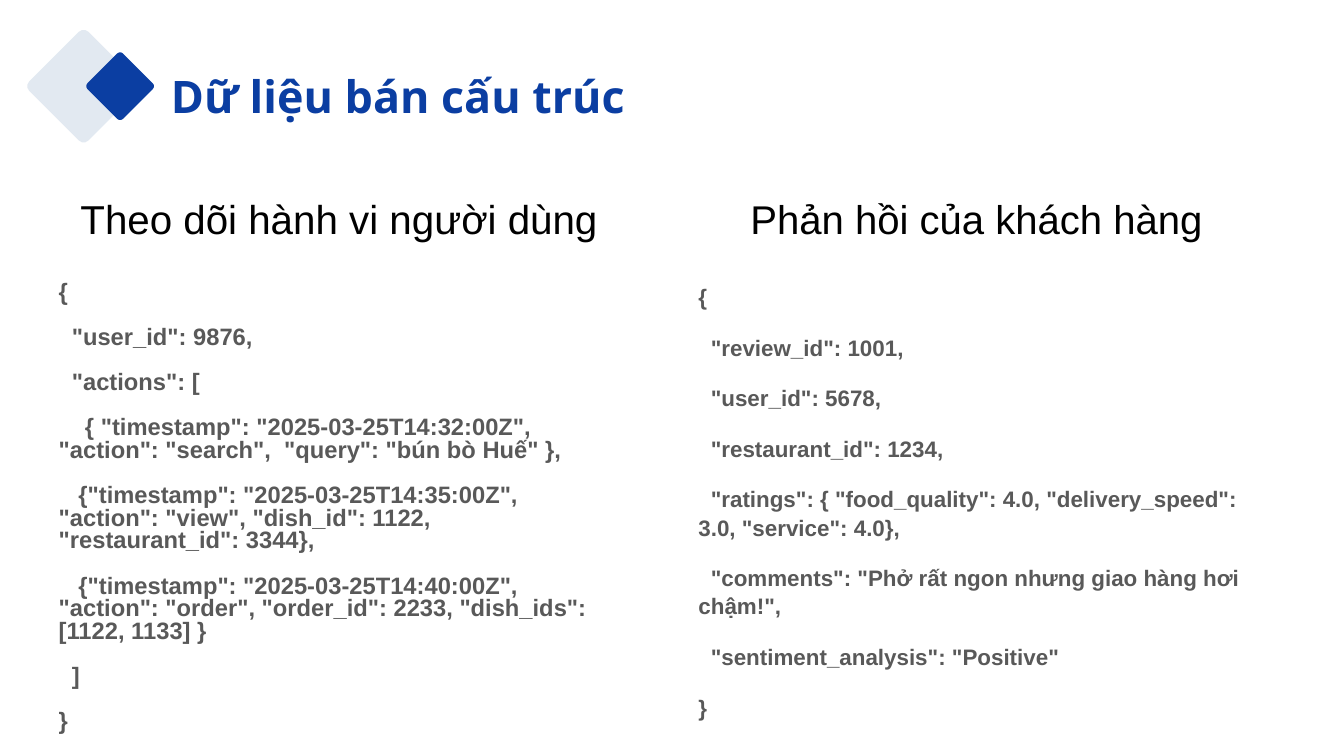
"""Build a slide comparing two samples of semi-structured data."""
from dataclasses import dataclass

from pptx import Presentation
from pptx.dml.color import RGBColor
from pptx.enum import shapes, text
from pptx.util import Cm, Pt


@dataclass(frozen=True)
class Theme:
    pale: RGBColor = RGBColor(0xE2, 0xE9, 0xF1)
    accent: RGBColor = RGBColor(0x0B, 0x3E, 0xA2)
    heading: RGBColor = RGBColor(0, 0, 0)
    code: RGBColor = RGBColor(0x59, 0x59, 0x59)
    title_font: str = "Noto Sans"
    body_font: str = "Arial"
    title_size: float = 24
    code_gap: float = 12


@dataclass(frozen=True)
class Box:
    left: float
    top: float
    width: float
    height: float


@dataclass(frozen=True)
class Diamond:
    center_x: float
    side: float
    color: RGBColor


@dataclass(frozen=True)
class Sample:
    heading: str
    heading_box: Box
    heading_size: float
    code_box: Box
    code_size: float
    line_spacing: float
    lines: tuple[str, ...]


THEME = Theme()
DIAMOND_CENTER_Y = 1.63
HEADING_TOP, HEADING_HEIGHT = 3.18, 1.65
CODE_TOP, CODE_HEIGHT = 5.08, 9.21

DIAMONDS = (
    Diamond(1.58, 1.58, THEME.pale),
    Diamond(2.27, 0.95, THEME.accent),
)

SAMPLES = (
    Sample(
        "Theo dõi hành vi người dùng",
        Box(0.86, HEADING_TOP, 11.1, HEADING_HEIGHT), 21.6,
        Box(0.86, CODE_TOP, 10.9, CODE_HEIGHT), 12.7, 0.8,
        (
            '{',
            '  "user_id": 9876,',
            '  "actions": [',
            '    { "timestamp": "2025-03-25T14:32:00Z", "action": "search",  "query": "bún bò Huế" },',
            '   {"timestamp": "2025-03-25T14:35:00Z", "action": "view", "dish_id": 1122, "restaurant_id": 3344},',
            '   {"timestamp": "2025-03-25T14:40:00Z", "action": "order", "order_id": 2233, "dish_ids": [1122, 1133] }',
            '  ]',
            '}',
        ),
    ),
    Sample(
        "Phản hồi của khách hàng",
        Box(12.73, HEADING_TOP, 11.46, HEADING_HEIGHT), 21.5,
        Box(12.95, CODE_TOP, 11.1, CODE_HEIGHT), 12, 1.05,
        (
            '{',
            '  "review_id": 1001,',
            '  "user_id": 5678,',
            '  "restaurant_id": 1234,',
            '  "ratings": { "food_quality": 4.0, "delivery_speed": 3.0, "service": 4.0},',
            '  "comments": "Phở rất ngon nhưng giao hàng hơi chậm!",',
            '  "sentiment_analysis": "Positive"',
            '}',
        ),
    ),
)


def draw_diamond(slide, diamond: Diamond) -> None:
    """Draw a rounded square turned by 45 degrees."""
    square = slide.shapes.add_shape(
        shapes.MSO_SHAPE.ROUNDED_RECTANGLE,
        Cm(diamond.center_x - diamond.side / 2),
        Cm(DIAMOND_CENTER_Y - diamond.side / 2),
        Cm(diamond.side), Cm(diamond.side))
    square.adjustments[0] = 0.08
    square.rotation = 45
    square.shadow.inherit = False
    square.fill.solid()
    square.fill.fore_color.rgb = diamond.color
    square.line.fill.background()


def set_frame(frame, anchor, inset_x: float, inset_y: float) -> None:
    """Set wrapping, anchor and insets of a text frame."""
    frame.word_wrap = True
    frame.auto_size = text.MSO_AUTO_SIZE.NONE
    frame.vertical_anchor = anchor
    frame.margin_left = frame.margin_right = Cm(inset_x)
    frame.margin_top = frame.margin_bottom = Cm(inset_y)


def set_font(paragraph, name: str, size: float, color: RGBColor, bold: bool) -> None:
    """Set the font of a whole paragraph."""
    font = paragraph.font
    font.name, font.size, font.bold = name, Pt(size), bold
    font.color.rgb = color


def add_frame(slide, box: Box, anchor):
    """Add a text box and return its text frame."""
    frame = slide.shapes.add_textbox(
        Cm(box.left), Cm(box.top), Cm(box.width), Cm(box.height)).text_frame
    set_frame(frame, anchor, 0.25, 0.25)
    return frame


def draw_title(slide, wording: str, box: Box) -> None:
    """Place and format the title placeholder."""
    title = slide.shapes.title
    title.left, title.top = Cm(box.left), Cm(box.top)
    title.width, title.height = Cm(box.width), Cm(box.height)
    set_frame(title.text_frame, text.MSO_ANCHOR.TOP, 0, 0.13)
    paragraph = title.text_frame.paragraphs[0]
    paragraph.text = wording
    paragraph.alignment = text.PP_ALIGN.LEFT
    set_font(paragraph, THEME.title_font, THEME.title_size, THEME.accent, True)


def draw_sample(slide, sample: Sample) -> None:
    """Draw a centred heading with its code lines below."""
    heading = add_frame(slide, sample.heading_box, text.MSO_ANCHOR.BOTTOM).paragraphs[0]
    heading.text = sample.heading
    heading.alignment = text.PP_ALIGN.CENTER
    set_font(heading, THEME.body_font, sample.heading_size, THEME.heading, False)

    code = add_frame(slide, sample.code_box, text.MSO_ANCHOR.TOP)
    for index, line in enumerate(sample.lines):
        paragraph = code.add_paragraph() if index else code.paragraphs[0]
        paragraph.text = line
        paragraph.line_spacing = sample.line_spacing
        paragraph.space_before = Pt(THEME.code_gap if index else 0)
        set_font(paragraph, THEME.body_font, sample.code_size, THEME.code, True)


def main() -> None:
    """Build and save the slide."""
    deck = Presentation()
    deck.slide_width, deck.slide_height = Cm(25.4), Cm(14.29)
    slide = deck.slides.add_slide(deck.slide_layouts[5])
    for diamond in DIAMONDS:
        draw_diamond(slide, diamond)
    draw_title(slide, "Dữ liệu bán cấu trúc", Box(3.23, 1.17, 15.21, 1.07))
    for sample in SAMPLES:
        draw_sample(slide, sample)
    deck.save("out.pptx")


if __name__ == "__main__":
    main()
